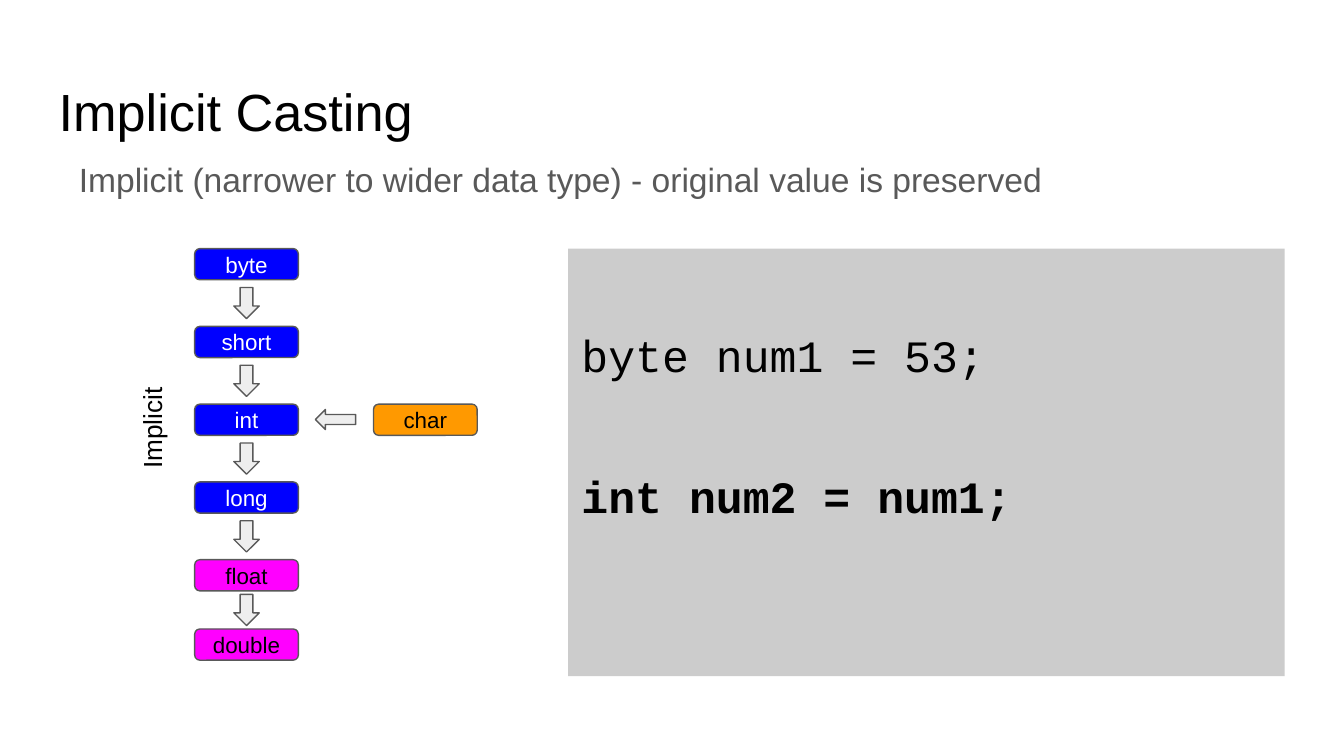
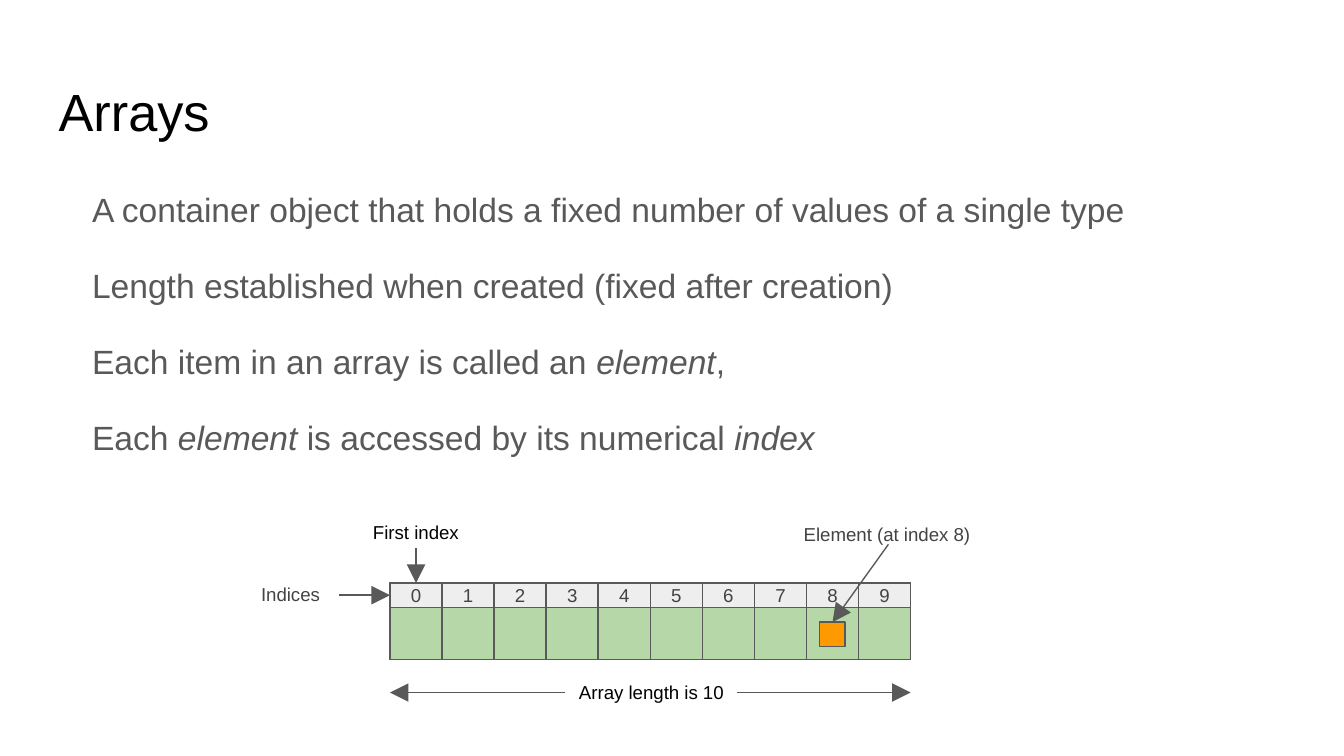
"""Two teaching slides: implicit casting and arrays."""
from dataclasses import dataclass
from typing import NamedTuple

from lxml import etree
from pptx import Presentation
from pptx import util as u
from pptx.dml.color import RGBColor
from pptx.enum import shapes, text
from pptx.oxml import ns

Cm, Pt = u.Cm, u.Pt
KIND = shapes.MSO_SHAPE
LEFT, CENTER = text.PP_ALIGN.LEFT, text.PP_ALIGN.CENTER
TOP, MIDDLE = text.MSO_ANCHOR.TOP, text.MSO_ANCHOR.MIDDLE


@dataclass(frozen=True)
class Theme:
    """Colours, fonts and type sizes of the deck."""
    sans: str = "Arial"
    mono: str = "Courier New"
    black: str = "000000"
    white: str = "FFFFFF"
    grey: str = "595959"
    dark: str = "434343"
    pale: str = "EEEEEE"
    panel: str = "CCCCCC"
    blue: str = "0000FF"
    magenta: str = "FF00FF"
    orange: str = "FF9900"
    green: str = "B6D7A8"
    title: int = 28
    code: int = 24
    body: int = 18
    side: int = 14
    chip: int = 12
    label: int = 10
    line: float = 0.75
    inset: float = 0.25


T = Theme()


class Box(NamedTuple):
    """Position and size in centimetres."""
    x: float
    y: float
    w: float
    h: float


class Run(NamedTuple):
    """Words that share one style."""
    words: str
    size: int = T.body
    color: str = T.grey
    bold: bool = False
    italic: bool = False
    font: str = T.sans


class Chip(NamedTuple):
    """A data type in the widening chain."""
    name: str
    y: float
    fill: str
    color: str


class Label(NamedTuple):
    """A caption of the array diagram."""
    words: str
    box: Box
    color: str
    align: text.PP_ALIGN = CENTER
    anchor: text.MSO_ANCHOR = MIDDLE


class Arrow(NamedTuple):
    """A line with its head at the second point."""
    x1: float
    y1: float
    x2: float
    y2: float


def place(sp, box: Box) -> None:
    """Move and size a shape."""
    sp.left, sp.top, sp.width, sp.height = (Cm(v) for v in box)


def add_runs(p, runs: list[Run]) -> None:
    """Add styled runs to a paragraph."""
    for run in runs:
        r = p.add_run()
        r.text = run.words
        f = r.font
        f.name, f.size = run.font, Pt(run.size)
        f.bold, f.italic = run.bold, run.italic
        f.color.rgb = RGBColor.from_string(run.color)


def set_frame(tf, anchor=TOP, wrap: bool = True) -> None:
    """Set the insets, anchor and wrapping of a text frame."""
    tf.margin_left = tf.margin_right = Cm(T.inset)
    tf.margin_top = tf.margin_bottom = Cm(T.inset)
    tf.vertical_anchor, tf.word_wrap = anchor, wrap
    tf.auto_size = text.MSO_AUTO_SIZE.NONE


def write_line(tf, run: Run, align=CENTER, anchor=MIDDLE) -> None:
    """Write one unwrapped line in a text frame."""
    set_frame(tf, anchor, wrap=False)
    p = tf.paragraphs[0]
    p.alignment = align
    add_runs(p, [run])


def add_title(prs, words: str):
    """Add a title-only slide and format its title."""
    slide = prs.slides.add_slide(prs.slide_layouts[5])
    sp = slide.shapes.title
    place(sp, Box(0.86, 1.24, 23.67, 1.6))
    set_frame(sp.text_frame)
    p = sp.text_frame.paragraphs[0]
    p.alignment = LEFT
    add_runs(p, [Run(words, T.title, T.black)])
    return slide


def add_body(slide, box: Box, paragraphs: list[list[Run]]) -> None:
    """Add body text with a hanging indent."""
    tf = slide.shapes.add_textbox(*(Cm(v) for v in box)).text_frame
    set_frame(tf)
    for i, runs in enumerate(paragraphs):
        p = tf.add_paragraph() if i else tf.paragraphs[0]
        p.line_spacing, p.space_after = 1.15, Pt(16)
        pr = p._p.get_or_add_pPr()
        pr.set("marL", str(Cm(1.27)))
        pr.set("indent", str(-Cm(0.64)))
        add_runs(p, runs)


def add_shape(parent, kind, box: Box, fill: str, outlined: bool = True):
    """Add a flat filled shape."""
    sp = parent.shapes.add_shape(kind, *(Cm(v) for v in box))
    sp.shadow.inherit = False
    sp.fill.solid()
    sp.fill.fore_color.rgb = RGBColor.from_string(fill)
    if outlined:
        sp.line.color.rgb = RGBColor.from_string(T.grey)
        sp.line.width = Pt(T.line)
    else:
        sp.line.fill.background()
    return sp


def add_chip(slide, chip: Chip, x: float) -> None:
    """Add a rounded box that names a data type."""
    box = Box(x, chip.y, 1.96, 0.59)
    sp = add_shape(slide, KIND.ROUNDED_RECTANGLE, box, chip.fill)
    write_line(sp.text_frame, Run(chip.name, T.chip, chip.color))


def add_label(parent, label: Label, size: int = T.label):
    """Add a one-line text box."""
    sp = parent.shapes.add_textbox(*(Cm(v) for v in label.box))
    write_line(sp.text_frame, Run(label.words, size, label.color),
               label.align, label.anchor)
    return sp


def add_arrow(parent, arrow: Arrow) -> None:
    """Add a straight connector with a large triangular head."""
    cx = parent.shapes.add_connector(shapes.MSO_CONNECTOR.STRAIGHT,
                                     *(Cm(v) for v in arrow))
    cx.line.color.rgb = RGBColor.from_string(T.grey)
    cx.line.width = Pt(T.line)
    etree.SubElement(cx.line._get_or_add_ln(), ns.qn("a:tailEnd"),
                     type="triangle", w="lg", len="lg")
    etree.SubElement(cx._element.spPr, ns.qn("a:effectLst"))


def add_code(slide, box: Box) -> None:
    """Add the grey panel with two lines of code."""
    sp = add_shape(slide, KIND.RECTANGLE, box, T.panel, outlined=False)
    tf = sp.text_frame
    set_frame(tf)
    tf.margin_top = Cm(1.35)
    declare, cast = tf.paragraphs[0], tf.add_paragraph()
    cast.space_before = Pt(42)
    for p, words in ((declare, "byte num1 = 53;"), (cast, "int num2 = num1;")):
        p.alignment, p.line_spacing = LEFT, 1.15
        add_runs(p, [Run(words, T.code, T.black, bold=p is cast, font=T.mono)])


def casting_slide(prs) -> None:
    """Build the slide on implicit casting."""
    slide = add_title(prs, "Implicit Casting")
    top, step, chain_x = 4.7, 1.47, 3.68
    chain = [Chip(name, top + i * step, T.blue, T.white)
             for i, name in enumerate(("byte", "short", "int", "long"))]
    chain += [Chip("float", top + 4 * step, T.magenta, T.black),
              Chip("double", 11.89, T.magenta, T.black)]
    for chip in chain:
        add_chip(slide, chip, chain_x)
    int_y = chain[2].y
    add_chip(slide, Chip("char", int_y, T.orange, T.black), 7.06)

    for upper, lower in zip(chain, chain[1:]):
        y = (upper.y + lower.y) / 2
        add_shape(slide, KIND.DOWN_ARROW, Box(4.42, y, 0.48, 0.59), T.pale)
    sp = add_shape(slide, KIND.DOWN_ARROW,
                   Box(6.15, int_y - 0.09, 0.38, 0.76), T.pale)
    sp.rotation = 90

    add_body(slide, Box(0.61, 2.64, 23.67, 2.24), [
        [Run("Implicit (narrower to wider data type) - "
             "original value is preserved")]])
    side = add_label(slide, Label("Implicit", Box(0.86, 7.57, 4.01, 1.04),
                                  T.black), T.side)
    side.rotation = 270
    add_code(slide, Box(10.74, top, 13.54, 8.08))


def add_array(slide, count: int = 10) -> None:
    """Draw the array with its indices, captions and arrows."""
    group = slide.shapes.add_group_shape()
    x, width, index_y, index_h = 7.37, 9.84, 11.02, 0.46
    cell = width / count
    cell_y, right = index_y + index_h, x + width
    for y, h, fill, indexed in ((cell_y, cell, T.green, False),
                                (index_y, index_h, T.pale, True)):
        add_shape(group, KIND.RECTANGLE, Box(x, y, width, h), fill)
        for i in range(count):
            sp = add_shape(group, KIND.RECTANGLE,
                           Box(x + i * cell, y, cell, h), fill)
            if indexed:
                write_line(sp.text_frame, Run(str(i), T.label, T.dark))

    first_x, element_x = x + cell / 2, x + 8.5 * cell
    mid_y, length_y = index_y + index_h / 2, 13.09
    add_shape(group, KIND.RECTANGLE,
              Box(element_x - 0.24, 11.76, 0.48, 0.46), T.orange)
    for label in (
        Label("First index", Box(6.73, 9.73, 2.26, 0.66), T.black),
        Label("Element (at index 8)", Box(14.94, 9.63, 3.71, 0.66), T.dark,
              LEFT, TOP),
        Label("Indices", Box(4.6, 10.64, 1.78, 1.19), T.dark),
        Label("Array length is 10", Box(10.67, 12.78, 3.28, 0.61), T.black),
    ):
        add_label(group, label)
    for arrow in (
        Arrow(first_x, 10.36, first_x, index_y),
        Arrow(16.79, 10.29, element_x, 11.76),
        Arrow(6.4, mid_y, x, mid_y),
        Arrow(10.67, length_y, x, length_y),
        Arrow(13.92, length_y, right, length_y),
    ):
        add_arrow(group, arrow)


def arrays_slide(prs) -> None:
    """Build the slide on arrays."""
    slide = add_title(prs, "Arrays")
    element = Run("element", italic=True)
    add_body(slide, Box(0.86, 3.2, 23.67, 5.72), [
        [Run("A container object that holds a fixed number of values "
             "of a single type")],
        [Run("Length established when created (fixed after creation)")],
        [Run("Each item in an array is called an "), element, Run(",")],
        [Run("Each "), element, Run(" is accessed by its numerical "),
         Run("index", italic=True)],
    ])
    add_array(slide)


def main() -> None:
    """Build and save the deck."""
    prs = Presentation()
    prs.slide_width, prs.slide_height = Cm(25.4), Cm(14.29)
    casting_slide(prs)
    arrays_slide(prs)
    prs.save("out.pptx")


main()
